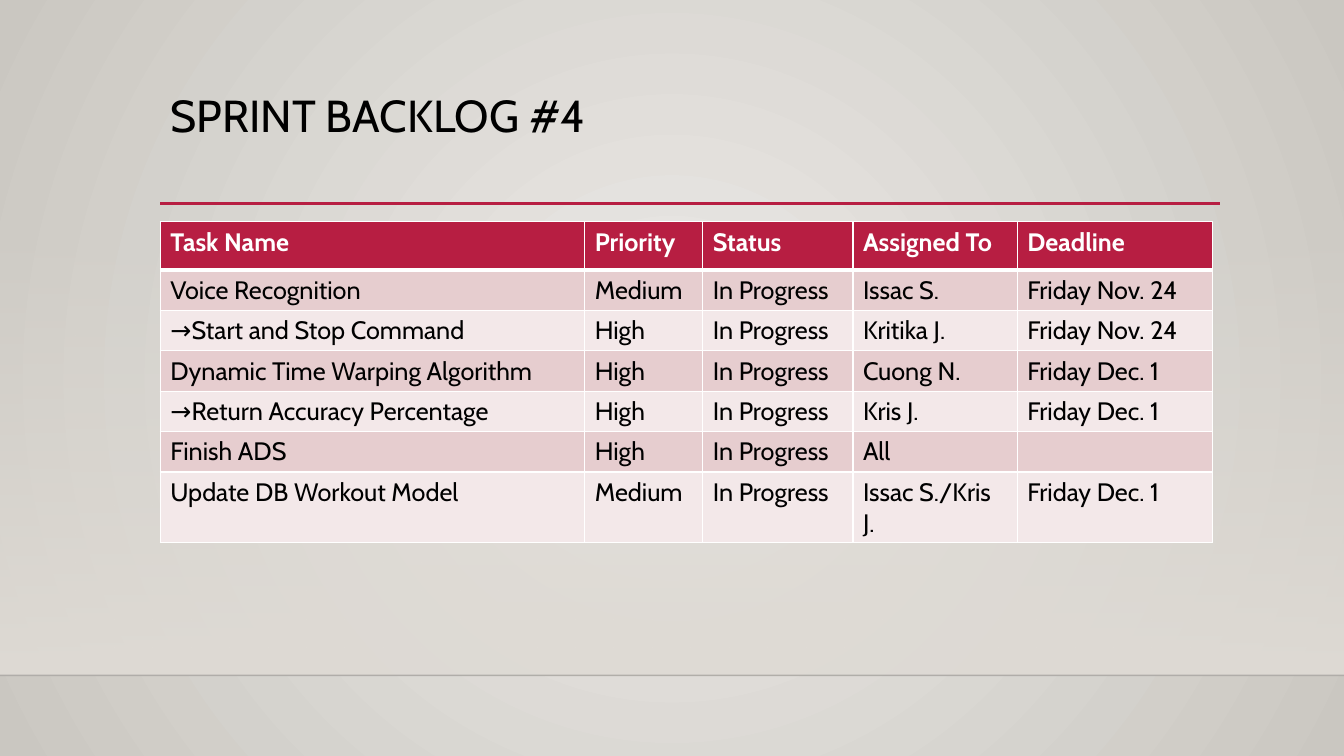
from pptx import Presentation
from pptx.dml.color import RGBColor
from pptx.enum.shapes import MSO_CONNECTOR, MSO_SHAPE
from pptx.enum.text import MSO_ANCHOR
from pptx.oxml import parse_xml
from pptx.oxml.ns import nsdecls, qn
from pptx.util import Inches, Pt
from lxml.etree import SubElement

# Content
TITLE = "SPRINT BACKLOG #4"
BACKLOG = [
    ("Task Name", "Priority", "Status", "Assigned To", "Deadline"),
    ("Voice Recognition", "Medium", "In Progress", "Issac S.", "Friday Nov. 24"),
    ("→Start and Stop Command", "High", "In Progress", "Kritika J.", "Friday Nov. 24"),
    ("Dynamic Time Warping Algorithm", "High", "In Progress", "Cuong N.", "Friday Dec. 1"),
    ("→Return Accuracy Percentage", "High", "In Progress", "Kris J.", "Friday Dec. 1"),
    ("Finish ADS", "High", "In Progress", "All", ""),
    ("Update DB Workout Model", "Medium", "In Progress", "Issac S./Kris J.", "Friday Dec. 1"),
]
COLUMN_WIDTHS = (4.21, 1.17, 1.49, 1.63, 1.94)
HEADER_HEIGHT, TASK_HEIGHT = 0.48, 0.35

# Layout and style
WIDTH, HEIGHT = 13.33, 7.5
LEFT, FLOOR = 1.59, 6.7
FONT = "Cabin"
BLACK = RGBColor(0x00, 0x00, 0x00)
WHITE = RGBColor(0xFF, 0xFF, 0xFF)
CRIMSON = RGBColor(0xB7, 0x1E, 0x42)
ROSE = RGBColor(0xE6, 0xCD, 0xCF)
PALE_ROSE = RGBColor(0xF3, 0xE8, 0xE9)
WALL_CENTRE = RGBColor(0xEC, 0xEA, 0xE7)
WALL_EDGE = RGBColor(0xCA, 0xC7, 0xC1)
HAZE = RGBColor(0xDF, 0xDB, 0xD5)
FLOOR_LINE = RGBColor(0x00, 0x00, 0x01)


def write(frame, text, size=18, color=BLACK, bold=False, spacing=1.0):
    paragraph = frame.paragraphs[0]
    paragraph.line_spacing = spacing
    paragraph.font.size = Pt(size)
    if text:
        run = paragraph.add_run()
        run.text = text
        run.font.name, run.font.size = FONT, Pt(size)
        run.font.color.rgb, run.font.bold = color, bold


def gradient(start, end, direction, start_alpha=100):
    return parse_xml(
        f'<a:gradFill {nsdecls("a")} rotWithShape="1"><a:gsLst>'
        f'<a:gs pos="0"><a:srgbClr val="{start}"><a:alpha val="{start_alpha * 1000}"/></a:srgbClr></a:gs>'
        f'<a:gs pos="100000"><a:srgbClr val="{end}"/></a:gs>'
        f'</a:gsLst>{direction}</a:gradFill>')


def rule(left, right, y, color, weight, alpha=100):
    line = slide.shapes.add_connector(
        MSO_CONNECTOR.STRAIGHT, Inches(left), Inches(y), Inches(right), Inches(y))
    line.line.color.rgb, line.line.width = color, Pt(weight)
    properties = line.element.spPr
    for tone in properties.iter(qn("a:srgbClr")):
        SubElement(tone, qn("a:alpha")).set("val", str(alpha * 1000))
    SubElement(properties, qn("a:effectLst"))


def add_borders(cell, weights):
    properties = cell._tc.get_or_add_tcPr()
    for place, (side, weight) in enumerate(weights.items()):
        properties.insert(place, parse_xml(
            f'<a:ln{side} {nsdecls("a")} w="{Pt(weight)}"><a:solidFill>'
            f'<a:srgbClr val="{WHITE}"/></a:solidFill></a:ln{side}>'))


deck = Presentation()
deck.slide_width, deck.slide_height = Inches(WIDTH), Inches(HEIGHT)
slide = deck.slides.add_slide(deck.slide_layouts[6])

# Wall: radial background
background = parse_xml(
    f'<p:bg {nsdecls("p", "a")}><p:bgPr><a:effectLst/></p:bgPr></p:bg>')
background[0].insert(0, gradient(
    WALL_CENTRE, WALL_EDGE,
    '<a:path path="circle"><a:fillToRect l="50000" t="50000" r="50000" b="50000"/></a:path>'))
slide.element.cSld.insert(0, background)

# Haze that thickens down to the floor line
haze = slide.shapes.add_shape(
    MSO_SHAPE.RECTANGLE, 0, Inches(2.21), Inches(WIDTH), Inches(FLOOR - 2.21))
haze.shadow.inherit = False
haze.line.fill.background()
haze.element.spPr.find(qn("a:prstGeom")).addnext(
    gradient(HAZE, HAZE, '<a:lin ang="5400000" scaled="0"/>', start_alpha=0))
rule(0, WIDTH, FLOOR, FLOOR_LINE, 1, alpha=20)

# Title and its rule
rule(LEFT, 12.1, 2.02, CRIMSON, 2.5)
title = slide.shapes.add_textbox(
    Inches(LEFT), Inches(0.88), Inches(10.5), Inches(1.15)).text_frame
title.word_wrap = True
title.vertical_anchor = MSO_ANCHOR.TOP
write(title, TITLE, size=32, spacing=0.9)

# Backlog table
table_height = HEADER_HEIGHT + TASK_HEIGHT * (len(BACKLOG) - 1)
backlog = slide.shapes.add_table(
    len(BACKLOG), len(COLUMN_WIDTHS), Inches(LEFT), Inches(2.2),
    Inches(sum(COLUMN_WIDTHS)), Inches(table_height)).table
for column, width in zip(backlog.columns, COLUMN_WIDTHS):
    column.width = Inches(width)
for r, entries in enumerate(BACKLOG):
    header = r == 0
    backlog.rows[r].height = Inches(HEADER_HEIGHT if header else TASK_HEIGHT)
    for c, entry in enumerate(entries):
        cell = backlog.cell(r, c)
        cell.fill.solid()
        cell.fill.fore_color.rgb = CRIMSON if header else ROSE if r % 2 else PALE_ROSE
        add_borders(cell, {"L": 1, "R": 1, "T": 3 if r == 1 else 1, "B": 3 if header else 1})
        write(cell.text_frame, entry, color=WHITE if header else BLACK, bold=header)

deck.save("out.pptx")
